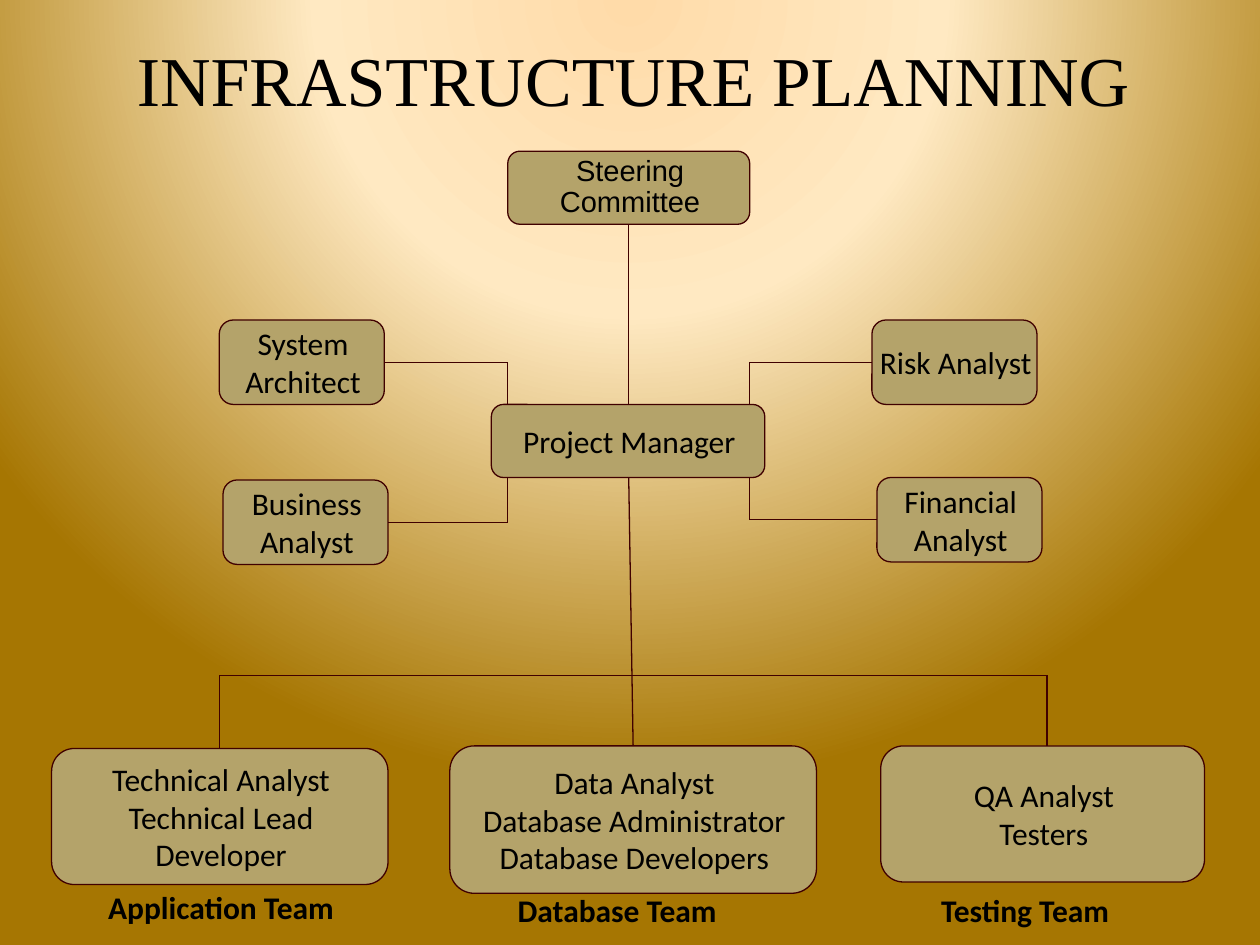
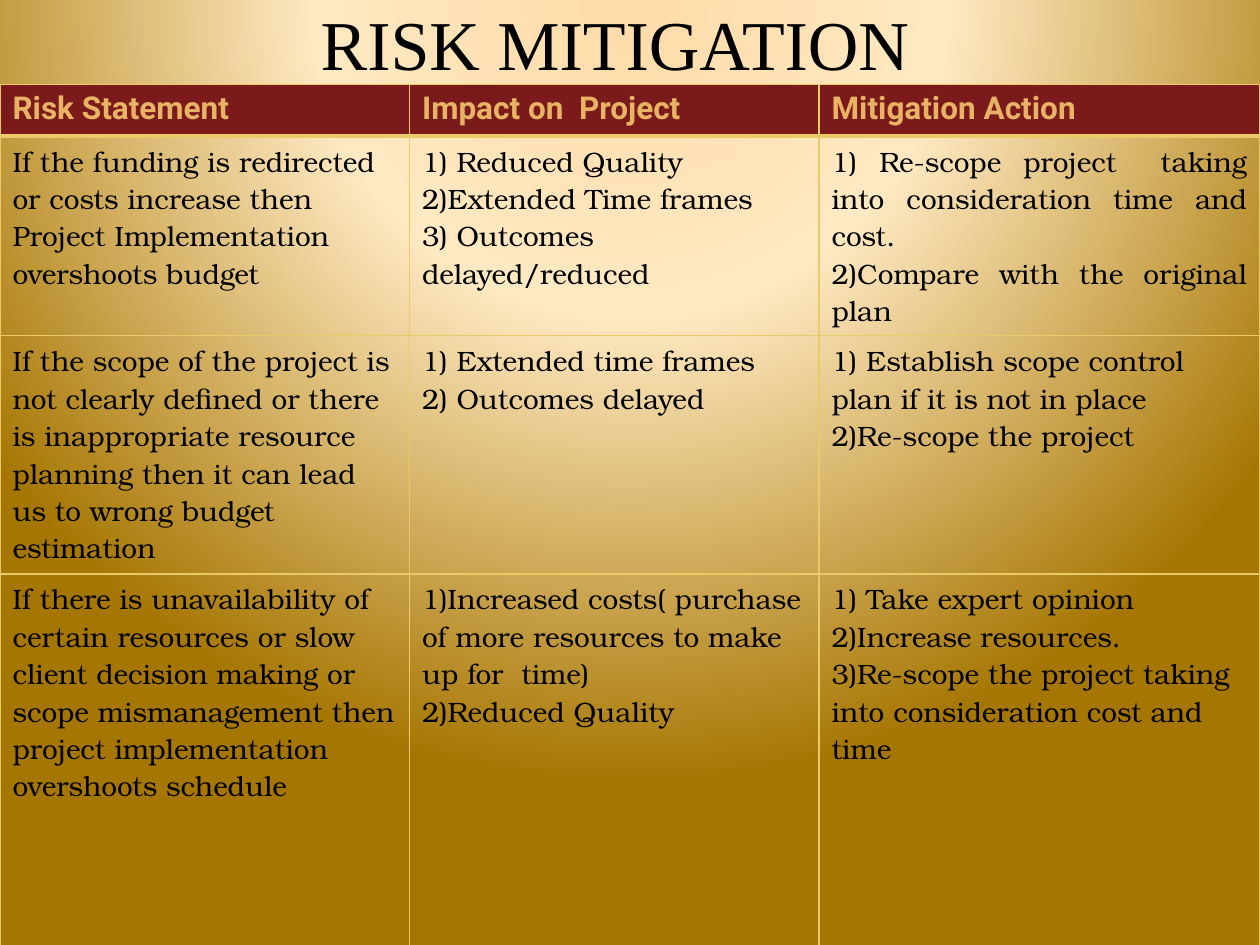
"""Build two slides: a project team chart and a risk table."""
from pptx import Presentation, oxml
from pptx.dml.color import RGBColor
from pptx.enum import shapes, text
from pptx.util import Inches, Pt

INK, TAN, WINE, RED, GOLD, SAND = "000000", "B4A36A", "400000", "7A1A1A", "EAC968", "E9B365"
GLOW = [(0, "FFDBA9"), (40, "FFE9C2"), (100, "A67602")]
NS = 'xmlns:a="http://schemas.openxmlformats.org/drawingml/2006/main"'
MID, LEFT, FULL = text.PP_ALIGN.CENTER, text.PP_ALIGN.LEFT, text.PP_ALIGN.JUSTIFY

TOP = ("Steering Committee", (4.03, 1.2, 1.92, 0.58))
BOSS = ("Project Manager", (3.9, 3.21, 2.17, 0.58))
STAFF = [
    ("System Architect", (1.74, 2.54, 1.31, 0.67)),
    ("Business Analyst", (1.77, 3.81, 1.31, 0.67)),
    ("Risk Analyst", (6.92, 2.54, 1.31, 0.67)),
    ("Financial Analyst", (6.96, 3.79, 1.31, 0.67)),
]
TEAMS = [
    ("Application Team", (0.76, 7, 2.01, 0.4), (0.41, 5.94, 2.67, 1.08), 1.74,
     ["Technical Analyst", "Technical Lead", "Developer"]),
    ("Database Team", (4.01, 7.02, 1.8, 0.4), (3.57, 5.92, 2.91, 1.17), None,
     ["Data Analyst", "Database Administrator", "Database Developers"]),
    ("Testing Team", (7.37, 7.02, 1.55, 0.4), (6.99, 5.92, 2.57, 1.08), 8.31,
     ["QA Analyst", "Testers"]),
]
BUS = 5.36

COLS, ROWS = [3.25, 3.25, 3.5], [0.41, 1.48, 1.89, 3.05]
HEADS = ["Risk Statement", "Impact on  Project", "Mitigation Action"]
RISKS = [
    (["If the funding is redirected or costs increase then Project Implementation "
      "overshoots budget"],
     ["1) Reduced Quality", "2)Extended Time frames", "3) Outcomes delayed/reduced"],
     ["1) Re-scope project  taking into consideration time and cost.",
      "2)Compare with the original plan"]),
    (["If the scope of the project is not clearly defined or there is inappropriate "
      "resource planning then it can lead us to wrong budget estimation"],
     ["1) Extended time frames", "2) Outcomes delayed"],
     ["1) Establish scope control plan if it is not in place", "2)Re-scope the project"]),
    (["If there is unavailability of certain resources or slow client decision making or "
      "scope mismanagement then project implementation overshoots schedule"],
     ["1)Increased costs( purchase of more resources to make up for  time)",
      "2)Reduced Quality"],
     ["1) Take expert opinion 2)Increase resources.",
      "3)Re-scope the project taking into consideration cost and time"]),
]


def hue(code):
    """Turn a hex string into a colour."""
    return RGBColor.from_string(code)


def write(frame, lines, size=18, face="Calibri", tint=INK, bold=False, align=MID):
    """Write one paragraph per line."""
    for i, line in enumerate(lines):
        para = frame.add_paragraph() if i else frame.paragraphs[0]
        para.alignment = align
        run = para.add_run()
        run.text = line
        font = run.font
        font.size, font.name, font.bold = Pt(size), face, bold
        font.color.rgb = hue(tint)


def paint(master):
    """Give the master its glowing background."""
    master.background.fill.solid()
    flat = next(master.element.iter("{*}solidFill"))
    stops = "".join(f'<a:gs pos="{p * 1000}"><a:srgbClr val="{c}"/></a:gs>' for p, c in GLOW)
    glow = oxml.parse_xml(
        f'<a:gradFill {NS} rotWithShape="1"><a:gsLst>{stops}</a:gsLst><a:path path="circle">'
        '<a:fillToRect l="50000" t="-80000" r="50000" b="180000"/></a:path></a:gradFill>')
    flat.getparent().replace(flat, glow)


def start(deck, name, place):
    """Add a slide with its title."""
    slide = deck.slides.add_slide(deck.slide_layouts[5])
    head = slide.shapes.title
    head.left, head.top, head.width, head.height = map(Inches, place)
    frame = head.text_frame
    frame.auto_size = text.MSO_AUTO_SIZE.NONE
    frame.vertical_anchor = text.MSO_ANCHOR.MIDDLE
    write(frame, [name], 40, "Times New Roman")
    return slide


def box(slide, lines, place, **look):
    """Draw a rounded box with centred text."""
    item = slide.shapes.add_shape(shapes.MSO_SHAPE.ROUNDED_RECTANGLE, *map(Inches, place))
    item.shadow.inherit = False
    item.fill.solid()
    item.fill.fore_color.rgb = hue(TAN)
    item.line.color.rgb, item.line.width = hue(WINE), Pt(0.75)
    frame = item.text_frame
    frame.word_wrap = True
    frame.vertical_anchor = text.MSO_ANCHOR.MIDDLE
    frame.margin_left = Inches(0.02)
    frame.margin_top = frame.margin_right = frame.margin_bottom = 0
    write(frame, lines, **look)
    return item


def link(slide, *spots):
    """Join the spots with straight lines."""
    for a, b in zip(spots, spots[1:]):
        line = slide.shapes.add_connector(shapes.MSO_CONNECTOR.STRAIGHT, *map(Inches, a + b))
        line.line.color.rgb, line.line.width = hue(WINE), Pt(0.75)
        line._element.spPr.append(oxml.parse_xml(f"<a:effectLst {NS}/>"))


def chart(deck):
    """Build the team chart slide."""
    slide = start(deck, "INFRASTRUCTURE PLANNING", (0.65, 0, 8.75, 1.25))
    left, top, wide, high = TOP[1]
    roof = BOSS[1][1]
    base = roof + BOSS[1][3]
    mid = left + wide / 2
    head = box(slide, [TOP[0]], TOP[1], size=16.6, face="Arial")
    head.text_frame.paragraphs[0].line_spacing = 0.9
    box(slide, [BOSS[0]], BOSS[1])
    link(slide, (mid, top + high), (mid, roof))
    for name, place in STAFF:
        box(slide, [name], place)
        x, y, w, h = place
        row = y + h / 2
        edge, turn = (x + w, left) if x < mid else (x, left + wide)
        link(slide, (edge, row), (turn, row), (turn, roof if row < roof else base))
    for name, spot, place, drop, roles in TEAMS:
        box(slide, roles, place)
        x, y, w, h = place
        if drop:
            link(slide, (drop, BUS), (drop, y))
        else:
            link(slide, (mid, base), (x + w / 2, y))
        note = slide.shapes.add_textbox(*map(Inches, spot)).text_frame
        note.word_wrap = False
        write(note, [name], bold=True, align=LEFT)
    link(slide, (TEAMS[0][3], BUS), (TEAMS[-1][3], BUS))


def edge(cell, row):
    """Draw the four borders of a cell."""
    thick = {"lnT": row == 1, "lnB": row == 0}
    for side in ("lnL", "lnR", "lnT", "lnB"):
        size = Pt(3 if thick.get(side) else 1)
        cell._tc.get_or_add_tcPr().append(oxml.parse_xml(
            f'<a:{side} {NS} w="{size}"><a:solidFill><a:srgbClr val="{GOLD}"/>'
            f'</a:solidFill></a:{side}>'))


def risks(deck):
    """Build the risk table slide."""
    slide = start(deck, "RISK MITIGATION\t", (0.67, 0, 8.75, 0.67))
    size = (0, 0.67, sum(COLS), sum(ROWS))
    grid = slide.shapes.add_table(len(ROWS), len(COLS), *map(Inches, size)).table
    grid.first_row = grid.horz_banding = False
    for part, wide in zip(grid.columns, COLS):
        part.width = Inches(wide)
    for part, high in zip(grid.rows, ROWS):
        part.height = Inches(high)
    for r, row in enumerate([[[h] for h in HEADS]] + RISKS):
        for c, lines in enumerate(row):
            cell = grid.cell(r, c)
            edge(cell, r)
            if r == 0:
                cell.fill.solid()
                cell.fill.fore_color.rgb = hue(RED)
                write(cell.text_frame, lines, 18, "Roboto", SAND, True, LEFT)
            else:
                cell.fill.background()
                align = FULL if (r, c) == (1, 2) else LEFT
                write(cell.text_frame, lines, 16, "TeX Gyre Bonum", align=align)


def main():
    """Make and save the deck."""
    deck = Presentation()
    deck.slide_width, deck.slide_height = Inches(10), Inches(7.5)
    paint(deck.slide_master)
    chart(deck)
    risks(deck)
    deck.save("out.pptx")


if __name__ == "__main__":
    main()
